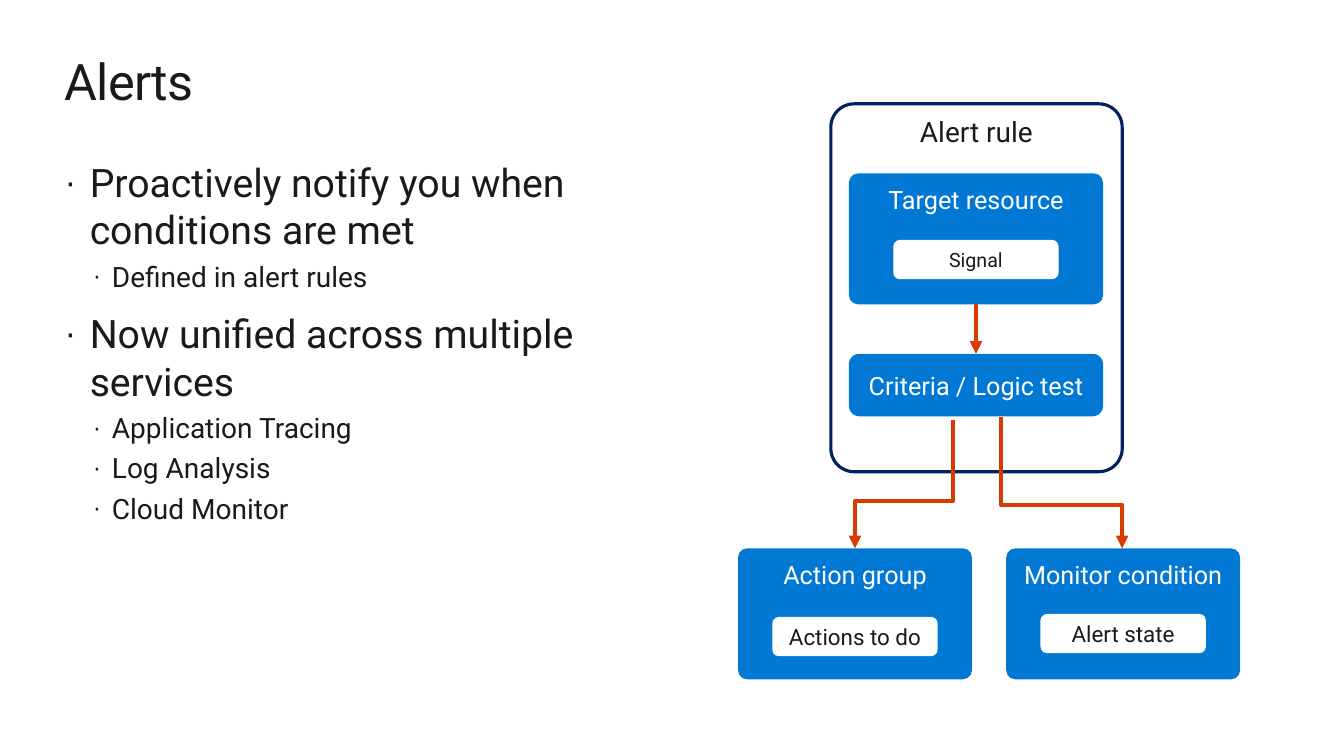
from lxml import etree
from pptx import Presentation
from pptx import util as u
from pptx.dml.color import RGBColor
from pptx.enum import shapes, text
from pptx.oxml.ns import qn

PX = 9144  # EMU per px, 100 px to the inch
FONT = "Roboto"
COLORS = {
    "ink": "1A1A1A",
    "white": "FFFFFF",
    "blue": "0078D4",
    "navy": "002060",
    "arrow": "D73B02",
}
POINTS = [
    ("Proactively notify you when conditions are met", ["Defined in alert rules"]),
    ("Now unified across multiple services",
     ["Application Tracing", "Log Analysis", "Cloud Monitor"]),
]


def px(*lengths):
    return [round(length * PX) for length in lengths]


def color(name):
    return RGBColor.from_string(COLORS[name])


def add_xml(parent, tag, **attributes):
    return etree.SubElement(parent, qn(tag), attributes)


def set_font(paragraph, size, name):
    paragraph.font.name = FONT
    paragraph.font.size = u.Pt(size)
    paragraph.font.color.rgb = color(name)


def set_margins(frame, left, top, right, bottom):
    (frame.margin_left, frame.margin_top,
     frame.margin_right, frame.margin_bottom) = px(left, top, right, bottom)


def place(placeholder, box):
    (placeholder.left, placeholder.top,
     placeholder.width, placeholder.height) = px(*box)
    frame = placeholder.text_frame
    set_margins(frame, 0, 0, 0, 0)
    frame.vertical_anchor = text.MSO_ANCHOR.TOP
    frame.auto_size = text.MSO_AUTO_SIZE.SHAPE_TO_FIT_TEXT
    frame.word_wrap = True
    return frame


def fill_title(placeholder, box, words):
    heading = place(placeholder, box).paragraphs[0]
    heading.text = words
    heading.alignment = text.PP_ALIGN.LEFT
    set_font(heading, 36, "ink")
    heading._p.pPr.find(qn("a:defRPr")).set("spc", "-50")


def fill_points(placeholder, box, points):
    frame = place(placeholder, box)
    lines = [(level, words) for point, details in points
             for level, words in [(0, point)] + [(1, detail) for detail in details]]
    for index, (level, words) in enumerate(lines):
        line = frame.paragraphs[0] if index == 0 else frame.add_paragraph()
        line.text = words
        line.level = level
        indent, hanging, before, size = [(25, 25, 12.2, 28), (47, 19, 4.8, 20)][level]
        line.space_before = u.Pt(before)
        properties = line._p.get_or_add_pPr()
        properties.set("marL", str(indent * PX))
        properties.set("indent", str(-hanging * PX))
        add_xml(add_xml(properties, "a:buClr"), "a:srgbClr", val=COLORS["ink"])
        add_xml(properties, "a:buSzPct", val="90000")
        add_xml(properties, "a:buChar", char="·")
        set_font(line, size, "ink")


def add_card(slide, box, words, size, fill="blue", ink="white", outline=None,
             radius=None, margins=(8, 8, 8, 16), middle=False):
    card = slide.shapes.add_shape(shapes.MSO_SHAPE.ROUNDED_RECTANGLE, *px(*box))
    card.shadow.inherit = False
    if radius is not None:
        card.adjustments[0] = radius
    card.fill.solid()
    card.fill.fore_color.rgb = color(fill)
    if outline:
        card.line.color.rgb = color(outline)
        card.line.width = u.Pt(2.25)
    else:
        card.line.fill.background()
    frame = card.text_frame
    frame.word_wrap = True
    set_margins(frame, *margins)
    frame.vertical_anchor = text.MSO_ANCHOR.MIDDLE if middle else text.MSO_ANCHOR.TOP
    label = frame.paragraphs[0]
    label.text = words
    label.alignment = text.PP_ALIGN.CENTER
    set_font(label, size, ink)


def add_titled_card(slide, box, words, inner, inner_size, inner_top, side=8):
    """A blue card with a white pill centred below its heading."""
    left, top, width, _ = box
    add_card(slide, box, words, 18, radius=0.07, margins=(side, 8, side, 16))
    add_card(slide, (left + (width - 164) / 2, top + inner_top, 164, 39), inner,
             inner_size, "white", "ink", margins=(12, 16, 12, 16), middle=True)


def style_arrow(arrow):
    arrow.line.color.rgb = color("arrow")
    arrow.line.width = u.Pt(3)
    properties = arrow._element.spPr
    add_xml(properties.find(qn("a:ln")), "a:tailEnd", type="triangle")
    add_xml(properties, "a:effectLst")


def add_down_arrow(slide, x, top, bottom):
    style_arrow(slide.shapes.add_connector(
        shapes.MSO_CONNECTOR.STRAIGHT, *px(x, top, x, bottom)))


def add_elbow_down(slide, start, end, bend):
    """An arrow going down, sideways at height bend, then down again."""
    (x1, y1), (x2, y2) = start, end
    middle_x, middle_y = (x1 + x2) / 2, (y1 + y2) / 2
    half_run, half_shift = (y2 - y1) / 2, abs(x2 - x1) / 2
    arrow = slide.shapes.add_connector(
        shapes.MSO_CONNECTOR.ELBOW,
        *px(middle_x - half_run, middle_y - half_shift,
            middle_x + half_run, middle_y + half_shift))
    properties = arrow._element.spPr
    turn = properties.find(qn("a:xfrm"))
    turn.set("rot", str((90 if x2 < x1 else 270) * 60000))
    if x2 > x1:
        turn.set("flipH", "1")
    geometry = properties.find(qn("a:prstGeom"))
    guides = geometry.find(qn("a:avLst"))
    if guides is None:
        guides = add_xml(geometry, "a:avLst")
    share = round((bend - y1) / (y2 - y1) * 100000)
    add_xml(guides, "a:gd", name="adj1", fmla=f"val {share}")
    style_arrow(arrow)


def draw_outcomes(slide, left, top):
    add_titled_card(slide, (left, top, 232, 130), "Action group",
                    "Actions to do", 16, 68)
    add_titled_card(slide, (left + 266, top, 232, 130), "Monitor condition",
                    "Alert state", 16, 65)


def draw_rule(slide, box):
    left, top, width, _ = box
    card_left, card_width = left + 18, width - 37
    add_card(slide, box, "Alert rule", 20, "white", "ink", "navy", 0.08, (20, 4, 20, 16))
    add_titled_card(slide, (card_left, top + 69, card_width, 130), "Target resource",
                    "Signal", 14, 66, side=20)
    add_card(slide, (card_left, top + 248, card_width, 62), "Criteria / Logic test", 18,
             margins=(0, 16, 0, 16), middle=True)
    add_down_arrow(slide, card_left + card_width / 2, top + 199, top + 248)


def draw_alert_flow(slide, box):
    left, top, _, height = box
    outcomes_top = top + height - 130
    draw_outcomes(slide, left, outcomes_top)
    draw_rule(slide, (left + 92, top, 289, 365))
    add_elbow_down(slide, (left + 213, top + 314), (left + 116, outcomes_top), top + 394)
    add_elbow_down(slide, (left + 261, top + 311), (left + 381, outcomes_top), top + 398)


def main():
    deck = Presentation()
    deck.slide_width, deck.slide_height = px(1333, 750)
    slide = deck.slides.add_slide(deck.slide_layouts[1])
    title, body = slide.placeholders
    fill_title(title, (64, 50, 1205, 61), "Alerts")
    fill_points(body, (64, 157, 570, 367), POINTS)
    draw_alert_flow(slide, (732, 103, 498, 571))
    deck.save("out.pptx")


if __name__ == "__main__":
    main()
